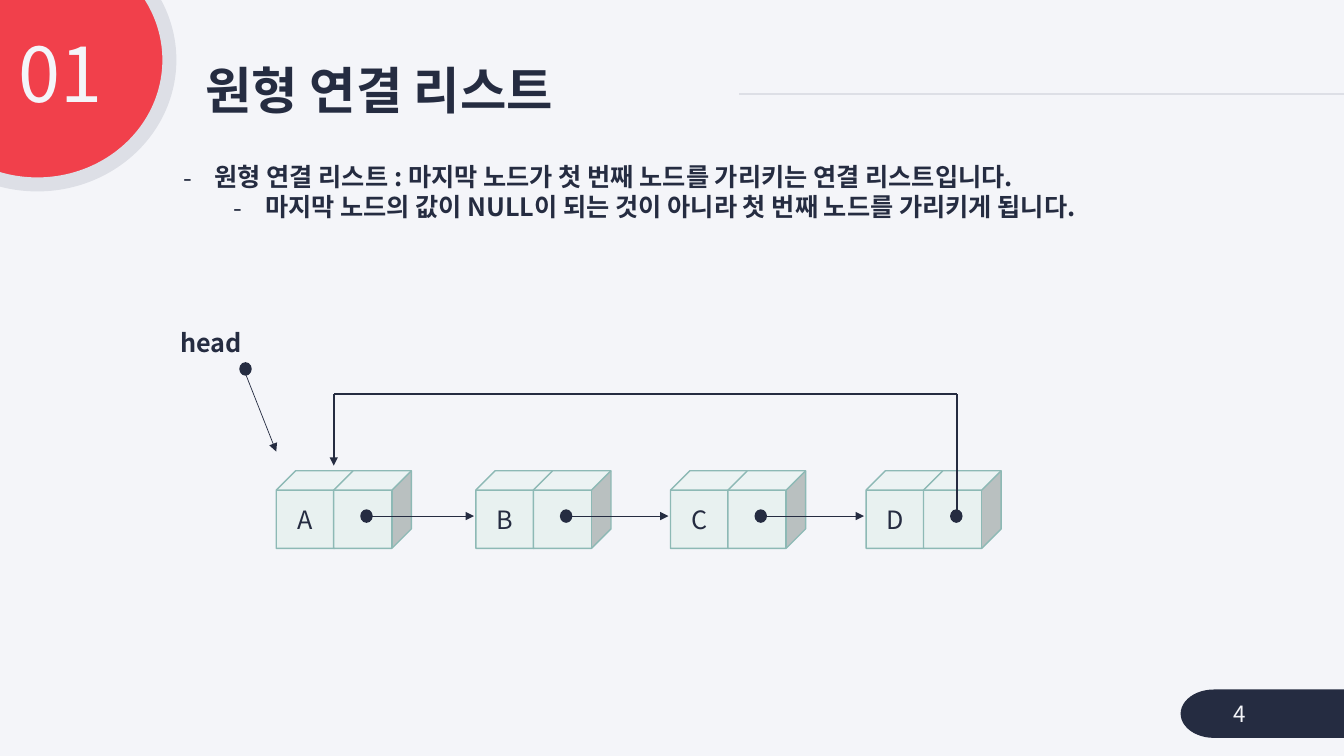
from dataclasses import dataclass

from lxml.etree import SubElement as Sub
from pptx import Presentation
from pptx.dml.color import RGBColor as Rgb
from pptx.enum.shapes import MSO_CONNECTOR as Conn, MSO_SHAPE as Kind
from pptx.enum.text import MSO_ANCHOR as Anchor, MSO_AUTO_SIZE as Fit, PP_ALIGN as Align
from pptx.oxml.ns import qn
from pptx.util import Inches, Pt


@dataclass(frozen=True)
class Theme:
    font: str = "Noto Sans CJK KR"
    back: str = "F4F5F9"
    dark: str = "252C41"
    red: str = "F1404B"
    gray: str = "DDDFE6"
    mint: str = "E8F1F0"
    edge: str = "8DB9B5"
    huge: int = 54
    title: int = 36
    body: int = 18
    small: int = 16


class Board:
    def __init__(self, slide, theme):
        self.slide, self.theme = slide, theme
        fill = slide.background.fill
        fill.solid()
        fill.fore_color.rgb = Rgb.from_string(theme.back)

    def style(self, para, size, color, bold=False):
        for run in para.runs:
            font = run.font
            font.size, font.bold, font.name = Pt(size), bold, self.theme.font
            font.color.rgb = Rgb.from_string(color)
            Sub(font._element, qn("a:ea"), typeface=self.theme.font)

    def shape(self, kind, box, fill, edge=None, width=1, text=""):
        item = self.slide.shapes.add_shape(kind, *map(Inches, box))
        item.shadow.inherit = False
        item.fill.solid()
        item.fill.fore_color.rgb = Rgb.from_string(fill)
        if edge:
            item.line.color.rgb = Rgb.from_string(edge)
            item.line.width = Pt(width)
        else:
            item.line.fill.background()
        if text:
            frame = item.text_frame
            frame.text = text
            frame.vertical_anchor = Anchor.MIDDLE
            para = frame.paragraphs[0]
            para.alignment = Align.CENTER
            self.style(para, self.theme.body, self.theme.dark)
        return item

    def text(self, box, words, size, color, bold=False, anchor=Anchor.TOP,
             align=Align.LEFT, space=None, wrap=True):
        frame = self.slide.shapes.add_textbox(*map(Inches, box)).text_frame
        frame.text = words
        frame.word_wrap, frame.auto_size = wrap, Fit.NONE
        frame.vertical_anchor = anchor
        for para in frame.paragraphs:
            para.alignment, para.line_spacing = align, space
            self.style(para, size, color, bold)
        return frame

    def bullet(self, para, level):
        para.level = level
        props = para._p.get_or_add_pPr()
        props.set("marL", str(Inches(0.31 + 0.5 * level)))
        props.set("indent", str(Inches(-0.31)))
        Sub(props, qn("a:buFont"), typeface=self.theme.font)
        Sub(props, qn("a:buChar"), char="-")

    def line(self, start, end, color, width, arrow=False):
        ends = map(Inches, (*start, *end))
        item = self.slide.shapes.add_connector(Conn.STRAIGHT, *ends)
        item.line.color.rgb = Rgb.from_string(color)
        item.line.width = Pt(width)
        if arrow:
            Sub(item.line._get_or_add_ln(), qn("a:tailEnd"), type="triangle")
        Sub(item._element.spPr, qn("a:effectLst"))

    def dot(self, left, top):
        dark = self.theme.dark
        self.shape(Kind.OVAL, (left, top, 0.11, 0.12), dark, dark)

    def node(self, left, name):
        look = self.theme
        for step, text in ((0, name), (0.57, "")):
            box = (left + step, 4.67, 0.77, 0.77)
            self.shape(Kind.CUBE, box, look.mint, look.edge, text=text)
        self.dot(left + 0.84, 5.06)


def main():
    deck = Presentation()
    deck.slide_width, deck.slide_height = Inches(13.33), Inches(7.5)
    look = Theme()
    board = Board(deck.slides.add_slide(deck.slide_layouts[6]), look)

    # Frame of the page
    board.line((7.33, 0.93), (13.33, 0.93), look.gray, 1.5)
    board.shape(Kind.OVAL, (-0.94, -0.64, 2.62, 2.47), look.red, look.gray, 10)
    board.shape(Kind.FLOWCHART_TERMINATOR, (11.71, 6.84, 2.05, 0.48), look.dark)

    # Heading and numbers
    board.text((1.94, 0.59, 5.39, 0.67), "원형 연결 리스트", look.title, look.dark,
               True, Anchor.MIDDLE, space=0.9)
    board.text((-0.11, 0.32, 1.22, 0.92), "01", look.huge, look.back,
               align=Align.RIGHT, space=0.9)
    board.text((12.14, 6.88, 1.09, 0.4), "4", look.small, look.back,
               anchor=Anchor.MIDDLE)

    # Explanation
    notes = ("원형 연결 리스트 : 마지막 노드가 첫 번째 노드를 가리키는 연결 리스트입니다.",
             "마지막 노드의 값이 NULL이 되는 것이 아니라 첫 번째 노드를 가리키게 됩니다.")
    frame = board.text((1.72, 1.55, 9.58, 0.71), "\n".join(notes), look.body,
                       look.dark, True, wrap=False)
    for level, para in enumerate(frame.paragraphs):
        board.bullet(para, level)

    # Nodes, then the arrows between neighbours
    lefts = (2.74, 4.72, 6.65, 8.59)
    for left, name in zip(lefts, "ABCD"):
        board.node(left, name)
    for left, right in zip(lefts, lefts[1:]):
        board.line((left + 0.95, 5.12), (right - 0.02, 5.12), look.dark, 0.5, True)

    # Head pointer
    board.text((1.69, 3.2, 0.92, 0.4), "head", look.body, look.dark, True)
    board.line((2.44, 3.72), (2.74, 4.48), look.dark, 0.5, True)
    board.dot(2.38, 3.6)

    # Way back from the last node to the first
    route = ((9.49, 5.06), (9.49, 3.91), (3.31, 3.91), (3.31, 4.62))
    for start, end in zip(route, route[1:]):
        board.line(start, end, look.dark, 1.5, end == route[-1])

    deck.save("out.pptx")


if __name__ == "__main__":
    main()
